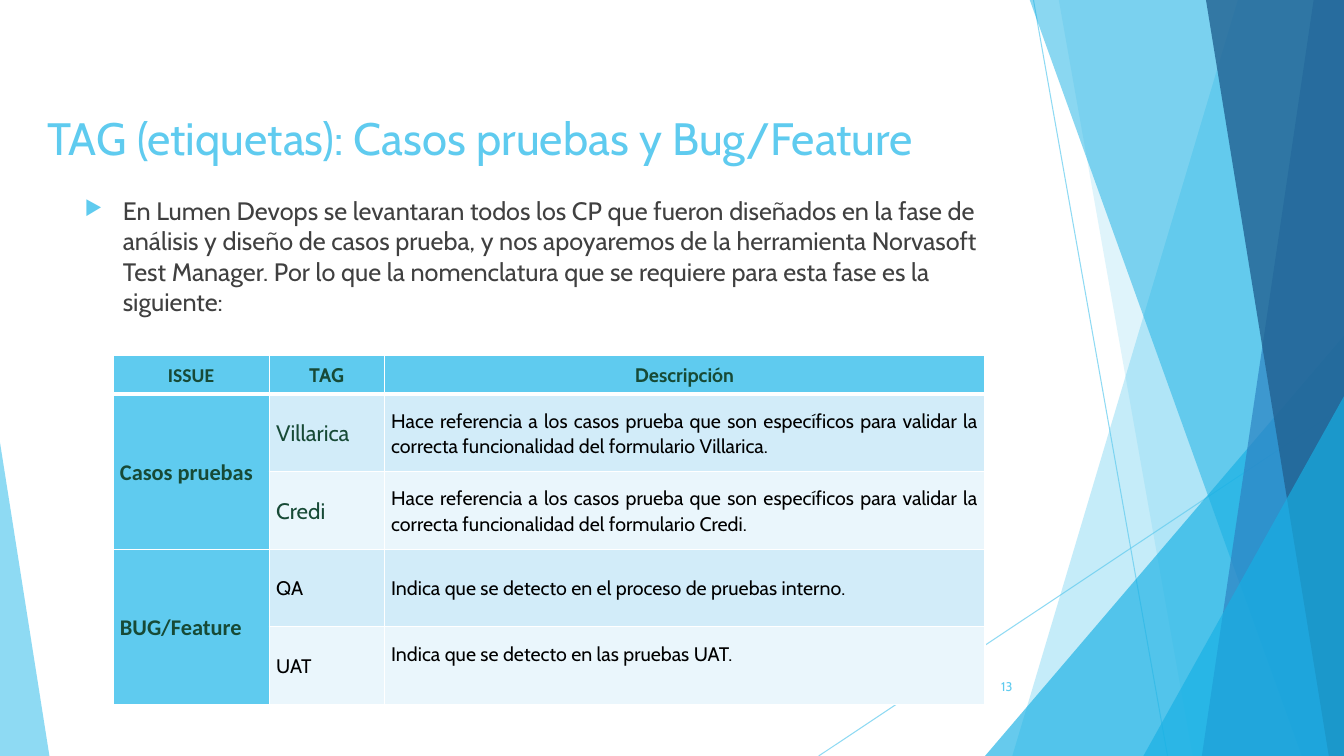
from dataclasses import dataclass

from lxml import etree
from pptx import Presentation
from pptx.dml.color import RGBColor
from pptx.enum.shapes import MSO_CONNECTOR, MSO_SHAPE
from pptx.enum.text import MSO_ANCHOR, PP_ALIGN
from pptx.oxml.ns import qn
from pptx.util import Inches, Pt

STRAIGHT = MSO_CONNECTOR.STRAIGHT
TRIANGLE = MSO_SHAPE.ISOSCELES_TRIANGLE
TOP, MIDDLE = MSO_ANCHOR.TOP, MSO_ANCHOR.MIDDLE
LEFT, CENTER, RIGHT, JUSTIFY = PP_ALIGN.LEFT, PP_ALIGN.CENTER, PP_ALIGN.RIGHT, PP_ALIGN.JUSTIFY

COLORS = {
    "sky": "5FCBEF", "cyan": "17B0E4", "blue": "2E83C3", "navy": "226292",
    "band": "D2ECF9", "pale": "EAF6FC", "white": "FFFFFF",
    "green": "174A36", "gray": "404040", "black": "000000",
}
WIDTH, HEIGHT, BLEED_TOP = 13.33, 7.5, -0.01


@dataclass(frozen=True)
class Ray:
    start: tuple[float, float]
    end: tuple[float, float]


@dataclass(frozen=True)
class Shard:
    """A band that runs to the right edge, from one x at the top to another at the bottom."""
    top_x: float
    bottom_x: float
    color: str
    opacity: int


@dataclass(frozen=True)
class Wedge:
    """A triangle standing on the bottom edge."""
    left: float
    top: float
    width: float
    apex: float
    color: str
    opacity: int


@dataclass(frozen=True)
class Style:
    size: float
    color: str
    font: str = "Cabin"
    bold: bool = False
    align: PP_ALIGN = JUSTIFY


@dataclass(frozen=True)
class Entry:
    text: str
    style: Style


RAYS = [Ray((10.25, 0), (11.58, HEIGHT)), Ray((WIDTH, 4.03), (8.12, HEIGHT))]
DECORATION = [
    Shard(12.28, 10.04, "sky", 36),
    Shard(10.5, 11.83, "sky", 20),
    Wedge(9.77, 3.33, 3.56, 1, "cyan", 66),
    Shard(10.21, 12.91, "cyan", 50),
    Shard(13.03, 11.92, "blue", 70),
    Shard(11.96, 13.18, "navy", 80),
    Wedge(11.34, 3.93, 1.99, 1, "cyan", 66),
    Wedge(0, 4.39, 0.49, 0, "sky", 70),
]

TITLE = Style(32.4, "sky", align=LEFT)
BODY = Style(18, "gray", align=LEFT)
PAGE_NUMBER = Style(9, "sky", align=RIGHT)
HEADER = Style(14, "green", bold=True, align=CENTER)
HEADER_ISSUE = Style(14, "green", "Calibri", True, CENTER)
ISSUE = Style(16, "green", "Calibri", True)
FORM_TAG = Style(16, "green")
PLAIN = Style(14, "black")

BODY_TEXT = (
    "En Lumen Devops se levantaran todos los CP que fueron diseñados en la fase de "
    "análisis y diseño de casos prueba, y nos apoyaremos de la herramienta Norvasoft "
    "Test Manager. Por lo que la nomenclatura que se requiere para esta fase es la "
    "siguiente:"
)
FORM_TEXT = (
    "Hace referencia a los casos prueba que son específicos para validar la "
    "correcta funcionalidad del formulario {}."
)
COLUMN_WIDTHS = [1.55, 1.14, 5.96]
ROW_HEIGHTS = [0.38] + [0.77] * 4
ROWS = [
    [Entry("ISSUE", HEADER_ISSUE), Entry("TAG", HEADER), Entry("Descripción", HEADER)],
    [Entry("Casos pruebas", ISSUE), Entry("Villarica", FORM_TAG),
     Entry(FORM_TEXT.format("Villarica"), PLAIN)],
    [None, Entry("Credi", FORM_TAG), Entry(FORM_TEXT.format("Credi"), PLAIN)],
    [Entry("BUG/Feature", ISSUE), Entry("QA", PLAIN),
     Entry("Indica que se detecto en el proceso de pruebas interno.", PLAIN)],
    [None, Entry("UAT", PLAIN), Entry("Indica que se detecto en las pruebas UAT.", PLAIN)],
]


def rgb(name: str) -> RGBColor:
    return RGBColor.from_string(COLORS[name])


def set_attributes(target, values: dict) -> None:
    for name, value in values.items():
        setattr(target, name, value)


def set_opacity(element, percent: int) -> None:
    for color in element.iter(qn("a:srgbClr")):
        etree.SubElement(color, qn("a:alpha"), val=str(percent * 1000))


def draw_ray(page, ray: Ray) -> None:
    points = [Inches(value) for value in ray.start + ray.end]
    line = page.shapes.add_connector(STRAIGHT, *points)
    line.line.width = Pt(0.75)
    line.line.color.rgb = rgb("sky")
    set_opacity(line._element, 70)
    etree.SubElement(line._element.spPr, qn("a:effectLst"))


def draw_decoration(page, part: Shard | Wedge) -> None:
    if isinstance(part, Shard):
        outline = page.shapes.build_freeform(Inches(part.top_x), Inches(BLEED_TOP))
        corners = [(WIDTH, BLEED_TOP), (WIDTH, HEIGHT), (part.bottom_x, HEIGHT)]
        outline.add_line_segments([(Inches(x), Inches(y)) for x, y in corners])
        shape = outline.convert_to_shape()
    else:
        shape = page.shapes.add_shape(
            TRIANGLE, Inches(part.left), Inches(part.top),
            Inches(part.width), Inches(HEIGHT - part.top))
        shape.adjustments[0] = part.apex
    shape.shadow.inherit = False
    shape.fill.solid()
    shape.fill.fore_color.rgb = rgb(part.color)
    shape.line.fill.background()
    set_opacity(shape._element, part.opacity)


def write(frame, text: str, style: Style):
    para = frame.paragraphs[0]
    para.alignment = style.align
    span = para.add_run()
    span.text = text
    set_attributes(span.font, {"name": style.font, "size": Pt(style.size), "bold": style.bold})
    span.font.color.rgb = rgb(style.color)
    return para


def add_text(page, bounds: tuple, text: str, style: Style, anchor: MSO_ANCHOR = TOP):
    box = page.shapes.add_textbox(*[Inches(value) for value in bounds])
    set_attributes(box.text_frame, {"word_wrap": True, "vertical_anchor": anchor})
    return write(box.text_frame, text, style)


def add_bullet(para) -> None:
    para.space_before = Pt(10)
    properties = para._p.get_or_add_pPr()
    properties.set("marL", str(Inches(0.38)))
    properties.set("indent", str(-Inches(0.38)))
    color = etree.SubElement(properties, qn("a:buClr"))
    etree.SubElement(color, qn("a:srgbClr"), val=COLORS["sky"])
    etree.SubElement(properties, qn("a:buSzPct"), val="80000")
    etree.SubElement(properties, qn("a:buChar"), char="▶")


def add_borders(cell, row: int) -> None:
    widths = {"lnL": 1, "lnR": 1, "lnT": 3 if row == 1 else 1, "lnB": 3 if row == 0 else 1}
    for side, width in widths.items():
        line = etree.SubElement(cell._tc.get_or_add_tcPr(), qn(f"a:{side}"), w=str(Pt(width)))
        fill = etree.SubElement(line, qn("a:solidFill"))
        etree.SubElement(fill, qn("a:srgbClr"), val=COLORS["white"])


def add_tag_table(page) -> None:
    frame = page.shapes.add_table(
        len(ROWS), len(COLUMN_WIDTHS), Inches(1.12), Inches(3.53),
        Inches(sum(COLUMN_WIDTHS)), Inches(sum(ROW_HEIGHTS)))
    table = frame.table
    table.horz_banding = False
    for column, width in zip(table.columns, COLUMN_WIDTHS):
        column.width = Inches(width)
    for row, height in zip(table.rows, ROW_HEIGHTS):
        row.height = Inches(height)
    for first in (1, 3):
        table.cell(first, 0).merge(table.cell(first + 1, 0))
    margins = {"margin_left": Inches(0.07), "margin_right": Inches(0.07),
               "margin_top": 0, "margin_bottom": 0, "vertical_anchor": MIDDLE}
    for row, entries in enumerate(ROWS):
        for column, entry in enumerate(entries):
            cell = table.cell(row, column)
            set_attributes(cell, margins)
            add_borders(cell, row)
            cell.fill.solid()
            band = "band" if row % 2 else "pale"
            cell.fill.fore_color.rgb = rgb("sky" if row == 0 or column == 0 else band)
            if entry:
                write(cell.text_frame, entry.text, entry.style).line_spacing = 1.07
    table.cell(4, 2).margin_bottom = Inches(0.24)


def main() -> None:
    deck = Presentation()
    set_attributes(deck, {"slide_width": Inches(WIDTH), "slide_height": Inches(HEIGHT)})
    page = deck.slides.add_slide(deck.slide_layouts[6])
    for ray in RAYS:
        draw_ray(page, ray)
    for part in DECORATION:
        draw_decoration(page, part)
    add_text(page, (0.37, 1.04, 9.4, 0.79), "TAG (etiquetas): Casos pruebas y Bug/Feature", TITLE)
    add_text(page, (9.39, 6.61, 0.75, 0.4), "13", PAGE_NUMBER, MIDDLE)
    add_bullet(add_text(page, (0.74, 1.89, 9.4, 4.72), BODY_TEXT, BODY))
    add_tag_table(page)
    deck.save("out.pptx")


if __name__ == "__main__":
    main()
